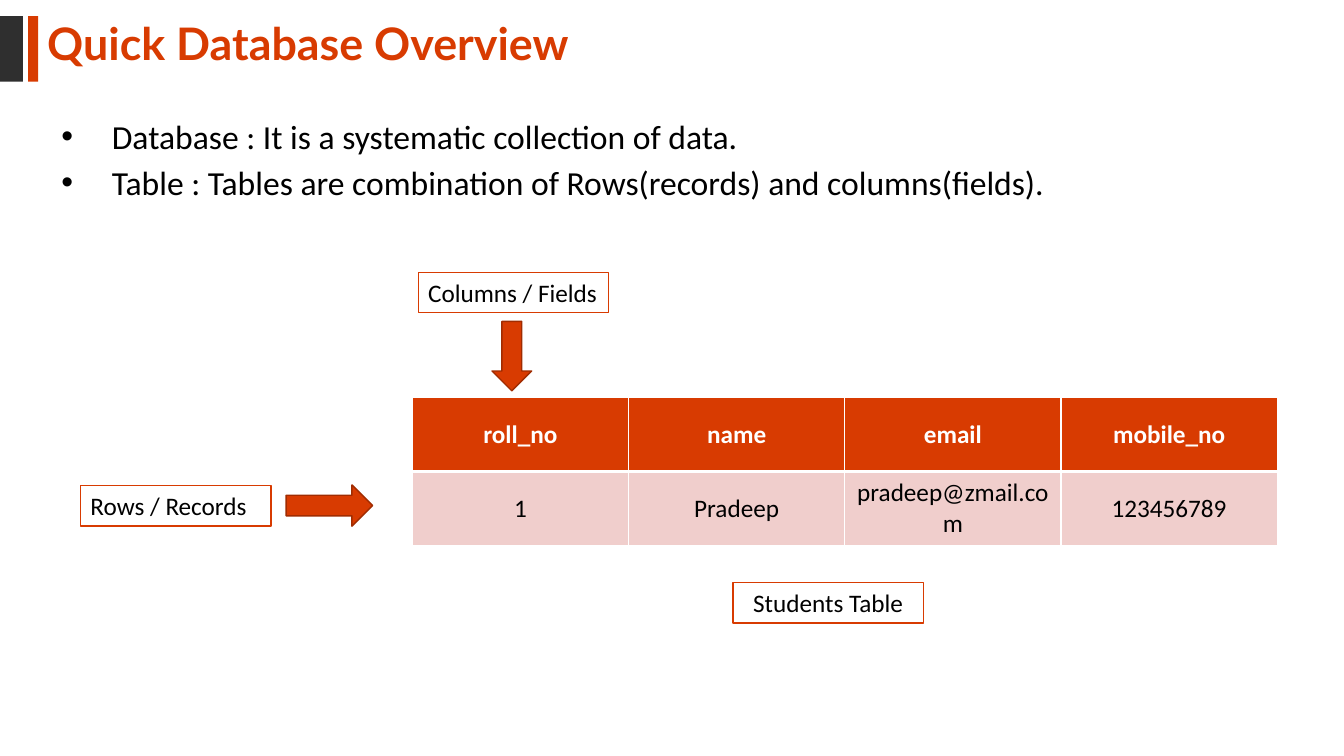
from lxml.etree import SubElement
from pptx import Presentation
from pptx.dml.color import RGBColor
from pptx.enum.shapes import MSO_SHAPE as Shape
from pptx.enum.text import MSO_ANCHOR as Anchor, PP_ALIGN as Align
from pptx.oxml.ns import qn
from pptx.util import Cm, Pt

ORANGE = RGBColor(0xD8, 0x3B, 0x01)
RUST = RGBColor(0xA0, 0x2C, 0x01)
CHARCOAL = RGBColor(0x2F, 0x2F, 0x2F)
PINK = RGBColor(0xF0, 0xCE, 0xCC)
WHITE = RGBColor(0xFF, 0xFF, 0xFF)
BLACK = RGBColor(0x00, 0x00, 0x00)

DEFINITIONS = [
    "Database : It is a systematic collection of data.",
    "Table : Tables are combination of Rows(records) and columns(fields).",
]
STUDENTS = [
    ["roll_no", "name", "email", "mobile_no"],
    ["1", "Pradeep", "pradeep@zmail.com", "123456789"],
]
COLUMN_WIDTH, ROW_HEIGHT = Cm(5.45), Cm(1.87)
LABEL_WIDTH, LABEL_HEIGHT = Cm(4.8), Cm(1.02)


def style_text(paragraph, size, color, bold=False, name="Calibri"):
    font = paragraph.font
    font.name, font.size, font.bold = name, Pt(size), bold
    font.color.rgb = color


def add_block(slide, kind, left, top, width, height, fill, line=None):
    block = slide.shapes.add_shape(kind, left, top, width, height)
    block.shadow.inherit = False
    block.fill.solid()
    block.fill.fore_color.rgb = fill
    if line is None:
        block.line.fill.background()
    else:
        block.line.color.rgb = line
        block.line.width = Pt(1)
    return block


def add_label(slide, text, left, top, align=Align.LEFT):
    label = add_block(slide, Shape.RECTANGLE, left, top,
                      LABEL_WIDTH, LABEL_HEIGHT, WHITE, ORANGE)
    frame = label.text_frame
    frame.word_wrap = True
    frame.vertical_anchor = Anchor.TOP
    paragraph = frame.paragraphs[0]
    paragraph.text = text
    paragraph.alignment = align
    style_text(paragraph, 18, BLACK)


def add_title(slide, text):
    frame = slide.shapes.add_textbox(Cm(0.94), Cm(0.53), Cm(16.94), Cm(1.37)).text_frame
    frame.word_wrap = True
    paragraph = frame.paragraphs[0]
    paragraph.text = text
    paragraph.line_spacing = 0.8
    style_text(paragraph, 32, ORANGE, True, "Lato")


def add_bullets(slide, lines):
    frame = slide.shapes.add_textbox(Cm(1.3), Cm(2.79), Cm(31.47), Cm(2.44)).text_frame
    frame.word_wrap = True
    frame.text = "\n".join(lines)
    for paragraph in frame.paragraphs:
        paragraph.space_before = paragraph.space_after = Pt(2)
        properties = paragraph._p.get_or_add_pPr()
        properties.set("marL", str(Cm(1.27)))
        properties.set("indent", str(-Cm(1.27)))
        SubElement(properties, qn("a:buFont")).set("typeface", "Arial")
        SubElement(properties, qn("a:buChar")).set("char", "•")
        style_text(paragraph, 24, BLACK)


def add_border(cell, side, points):
    border = SubElement(cell._tc.get_or_add_tcPr(), qn(f"a:{side}"), w=str(Pt(points)))
    fill = SubElement(border, qn("a:solidFill"))
    SubElement(fill, qn("a:srgbClr"), val=str(WHITE))


def add_student_table(slide, rows):
    """Draw the table with a thick rule between the header and the records."""
    row_count, column_count = len(rows), len(rows[0])
    table = slide.shapes.add_table(
        row_count, column_count, Cm(10.39), Cm(10.01),
        COLUMN_WIDTH * column_count, ROW_HEIGHT * row_count).table
    for column in table.columns:
        column.width = COLUMN_WIDTH
    for row_index, values in enumerate(rows):
        header = row_index == 0
        table.rows[row_index].height = ROW_HEIGHT
        for column_index, value in enumerate(values):
            cell = table.cell(row_index, column_index)
            cell.vertical_anchor = Anchor.MIDDLE
            add_border(cell, "lnL", 1)
            add_border(cell, "lnR", 1)
            add_border(cell, "lnT", 3 if row_index == 1 else 1)
            add_border(cell, "lnB", 3 if header else 1)
            cell.fill.solid()
            cell.fill.fore_color.rgb = ORANGE if header else PINK
            paragraph = cell.text_frame.paragraphs[0]
            paragraph.text = value
            paragraph.alignment = Align.CENTER
            style_text(paragraph, 18, WHITE if header else BLACK, header)


def main():
    deck = Presentation()
    deck.slide_width, deck.slide_height = Cm(33.87), Cm(19.05)
    slide = deck.slides.add_slide(deck.slide_layouts[6])

    add_title(slide, "Quick Database Overview")
    add_block(slide, Shape.RECTANGLE, Cm(0), Cm(0.41), Cm(0.58), Cm(1.65), CHARCOAL)
    add_block(slide, Shape.RECTANGLE, Cm(0.71), Cm(0.41), Cm(0.25), Cm(1.65), ORANGE)
    add_bullets(slide, DEFINITIONS)
    add_student_table(slide, STUDENTS)

    add_block(slide, Shape.DOWN_ARROW, Cm(12.4), Cm(8.1), Cm(1), Cm(1.75), ORANGE, RUST)
    add_label(slide, "Columns / Fields", Cm(10.54), Cm(6.86))
    add_block(slide, Shape.RIGHT_ARROW, Cm(7.21), Cm(12.22), Cm(2.18), Cm(1.04), ORANGE, RUST)
    add_label(slide, "Rows / Records", Cm(2.03), Cm(12.24))
    add_label(slide, "Students Table", Cm(18.47), Cm(14.68), Align.CENTER)

    deck.save("out.pptx")


if __name__ == "__main__":
    main()
